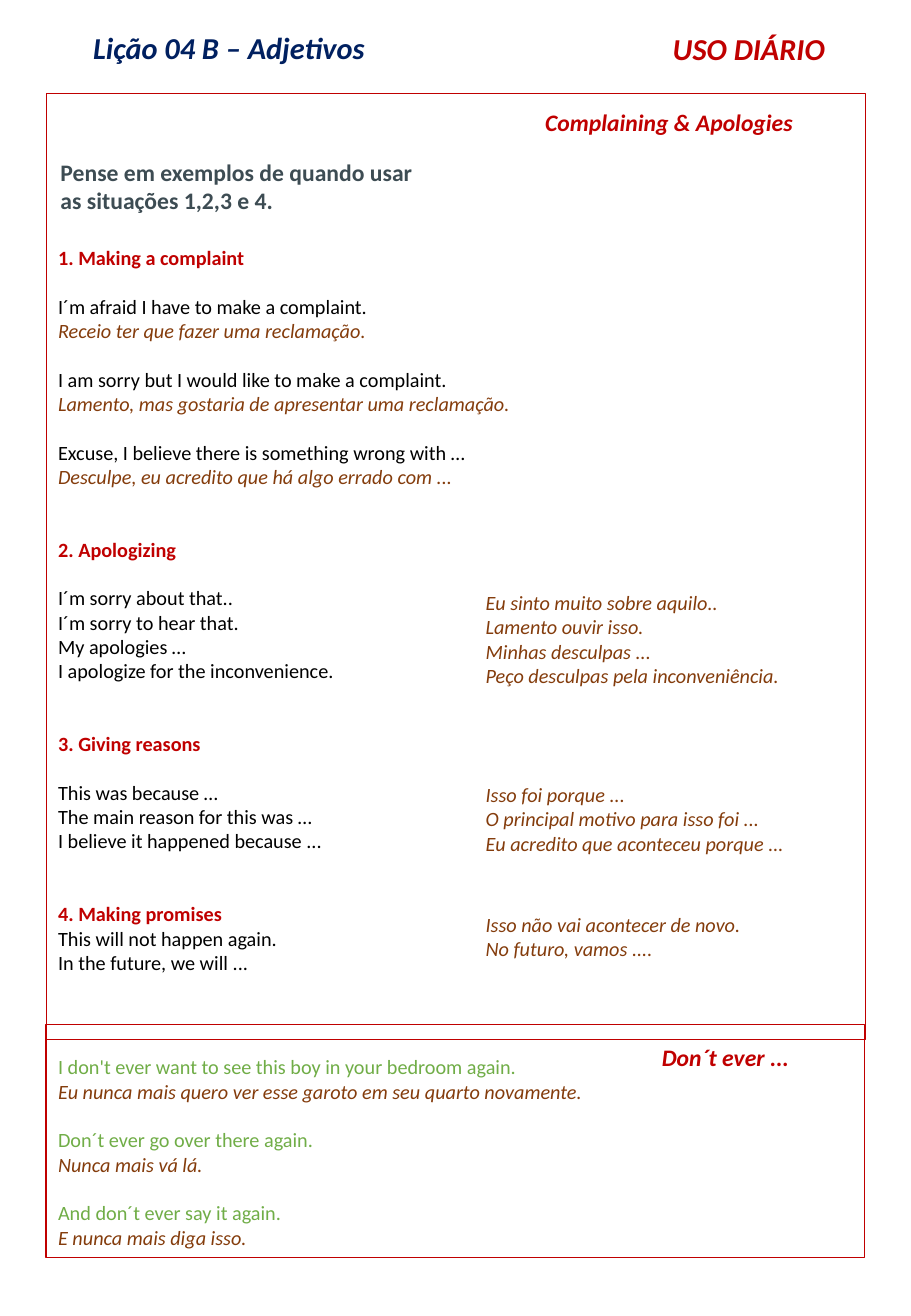
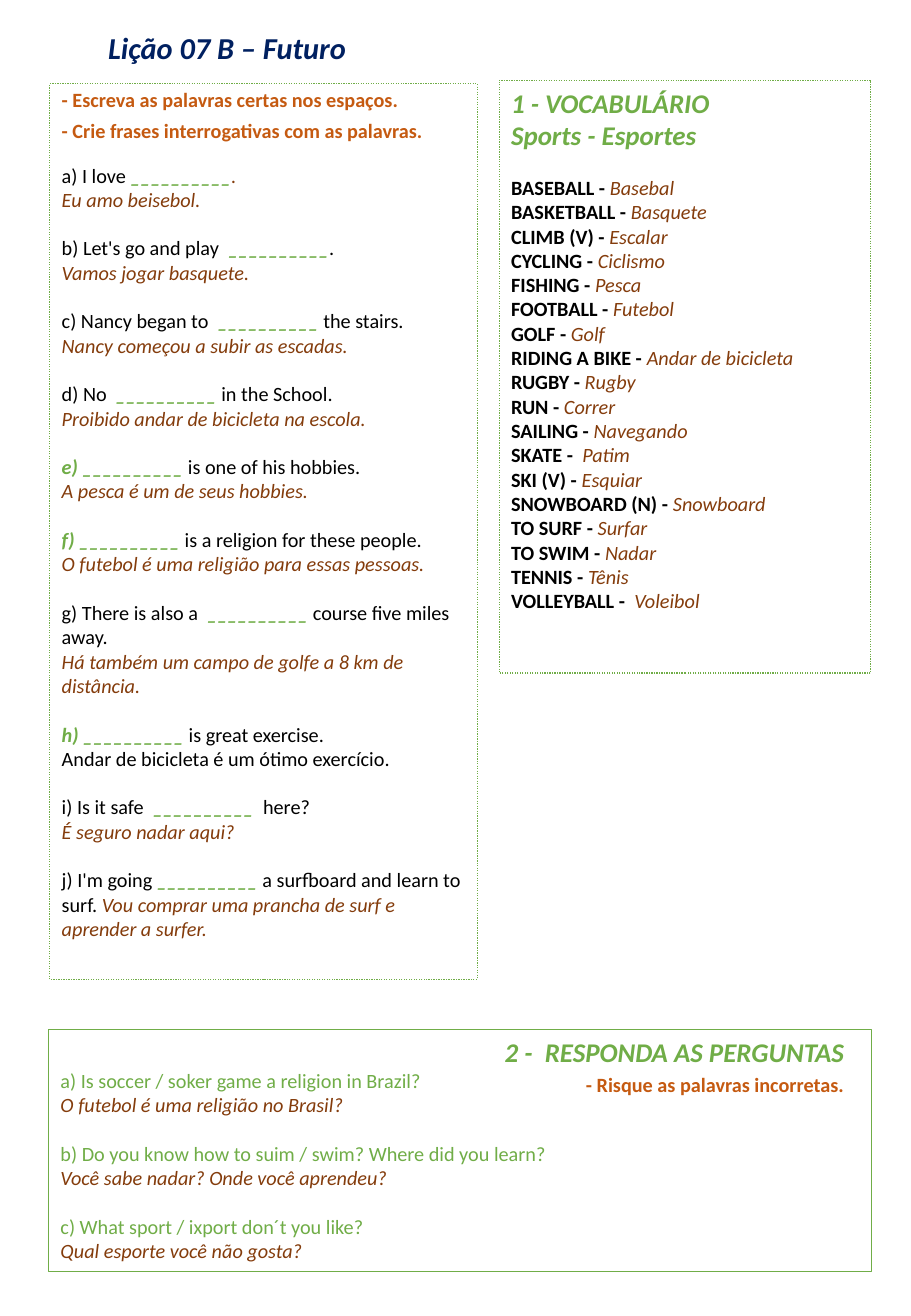
from dataclasses import dataclass

from pptx import Presentation
from pptx.dml.color import RGBColor
from pptx.enum.dml import MSO_LINE
from pptx.enum.shapes import MSO_SHAPE
from pptx.enum.text import MSO_ANCHOR, MSO_AUTO_SIZE, PP_ALIGN
from pptx.util import Inches, Pt

FONT = "Calibri"
NAVY, RED, BROWN, GREEN = "002060", "C00000", "843C0C", "70AD47"
BLACK, SLATE, ORANGE = "000000", "3D4C53", "C55A11"
LINE_PT = 14.4
LINE_IN = 0.2
INSET = 0.05


@dataclass
class Style:
    """Look of a piece of text."""
    color: str
    size: int = 12
    bold: bool = False
    italic: bool = False


TITLE = Style(NAVY, 18, True, True)
TAG = Style(RED, 18, True, True)
TOPIC = Style(RED, 14, True, True)
PROMPT = Style(SLATE, 14, True)
HEAD = Style(RED, bold=True)
EN = Style(BLACK)
PT = Style(BROWN, italic=True)
EXAMPLE = Style(GREEN)
GAP = Style(GREEN, bold=True, italic=True)
WORD = Style(BLACK, bold=True)
TASK = Style(ORANGE, bold=True)
SECTION = Style(GREEN, 16, True, True)

BLANK = "__________"

COMPLAINTS = [
    (0, "1. Making a complaint", HEAD),
    (1, "I´m afraid I have to make a complaint.", EN),
    (0, "Receio ter que fazer uma reclamação.", PT),
    (1, "I am sorry but I would like to make a complaint.", EN),
    (0, "Lamento, mas gostaria de apresentar uma reclamação.", PT),
    (1, "Excuse, I believe there is something wrong with …", EN),
    (0, "Desculpe, eu acredito que há algo errado com ...", PT),
    (2, "2. Apologizing", HEAD),
    (1, "I´m sorry about that..", EN),
    (0, "I´m sorry to hear that.", EN),
    (0, "My apologies …", EN),
    (0, "I apologize for the inconvenience.", EN),
    (2, "3. Giving reasons", HEAD),
    (1, "This was because …", EN),
    (0, "The main reason for this was …", EN),
    (0, "I believe it happened because ...", EN),
    (2, "4. Making promises", HEAD),
    (0, "This will not happen again.", EN),
    (0, "In the future, we will ...", EN),
]

TRANSLATIONS = [
    (4.04, ["Eu sinto muito sobre aquilo..", "Lamento ouvir isso.",
            "Minhas desculpas ...", "Peço desculpas pela inconveniência."]),
    (5.62, ["Isso foi porque ...", "O principal motivo para isso foi ...",
            "Eu acredito que aconteceu porque ..."]),
    (6.69, ["Isso não vai acontecer de novo.", "No futuro, vamos ...."]),
]

DONT_EVER = [
    ("I don't ever want to see this boy in your bedroom again.",
     "Eu nunca mais quero ver esse garoto em seu quarto novamente."),
    ("Don´t ever go over there again.", "Nunca mais vá lá."),
    ("And don´t ever say it again.", "E nunca mais diga isso."),
]

EXERCISES = [
    [[("a) I love ", EN), (BLANK, GAP), (".", PT)],
     [("Eu amo beisebol.", PT)]],
    [[("b) Let's go and play  ", EN), (BLANK, GAP), (".", EN)],
     [("Vamos jogar basquete.", PT)]],
    [[("c) Nancy began to  ", EN), (BLANK + " ", GAP), ("the stairs.", EN)],
     [("Nancy começou a subir as escadas.", PT)]],
    [[("d) No  ", EN), (BLANK, GAP), (" in the School.", EN)],
     [("Proibido andar de bicicleta na escola.", PT)]],
    [[("e) " + BLANK, GAP), (" is one of his hobbies.", EN)],
     [("A pesca é um de seus hobbies.", PT)]],
    [[("f) " + BLANK, GAP), (" is a religion for these people.", EN)],
     [("O futebol é uma religião para essas pessoas.", PT)]],
    [[("g) There is also a  ", EN), (BLANK, GAP),
      (" course five miles away.", EN)],
     [("Há também um campo de golfe a 8 km de distância.", PT)]],
    [[("h) " + BLANK, GAP), (" is great exercise.", EN)],
     [("Andar de bicicleta é um ótimo exercício.", EN)]],
    [[("i) Is it safe ", EN), (f" {BLANK} ", GAP), (" here?", EN)],
     [("É seguro nadar aqui?", PT)]],
    [[("j) I'm going ", EN), (BLANK + " ", GAP),
      ("a surfboard and learn to surf. ", EN),
      ("Vou comprar uma prancha de surf e aprender a surfer.", PT)]],
]

VOCABULARY = [
    ("BASEBALL - ", "Basebal"), ("BASKETBALL - ", "Basquete"),
    ("CLIMB (V) - ", "Escalar"), ("CYCLING - ", "Ciclismo"),
    ("FISHING - ", "Pesca"), ("FOOTBALL - ", "Futebol"),
    ("GOLF - ", "Golf"), ("RIDING A BIKE - ", "Andar de bicicleta"),
    ("RUGBY - ", "Rugby"), ("RUN - ", "Correr"),
    ("SAILING - ", "Navegando"), ("SKATE -  ", "Patim"),
    ("SKI (V) - ", "Esquiar"), ("SNOWBOARD (N) - ", "Snowboard"),
    ("TO SURF - ", "Surfar"), ("TO SWIM - ", "Nadar"),
    ("TENNIS - ", "Tênis"), ("VOLLEYBALL -  ", "Voleibol"),
]

QUESTIONS = [
    ("a) Is soccer / soker game a religion in Brazil?",
     "O futebol é uma religião no Brasil?"),
    ("b) Do you know how to suim / swim? Where did you learn?",
     "Você sabe nadar? Onde você aprendeu?"),
    ("c) What sport / ixport don´t you like?",
     "Qual esporte você não gosta?"),
]


def rgb(value):
    """Turn a hex string into a colour."""
    return RGBColor.from_string(value)


def set_font(font, style):
    """Apply a style to a font."""
    font.name = FONT
    font.size = Pt(style.size)
    font.bold = style.bold
    font.italic = style.italic
    font.color.rgb = rgb(style.color)


def write(tf, paragraphs, align=PP_ALIGN.LEFT):
    """Fill a frame with (blank lines before, runs) paragraphs."""
    tf.word_wrap = True
    tf.vertical_anchor = MSO_ANCHOR.TOP
    for i, (before, runs) in enumerate(paragraphs):
        p = tf.add_paragraph() if i else tf.paragraphs[0]
        p.alignment = align
        if before:
            p.space_before = Pt(round(before * LINE_PT, 2))
        if len(runs) == 1:
            set_font(p.font, runs[0][1])
        for text, style in runs:
            r = p.add_run()
            r.text = text
            if len(runs) > 1:
                set_font(r.font, style)


def lines(texts, style, gap=0):
    """Give every text its own paragraph in one style."""
    return [(gap if i else 0, [(text, style)]) for i, text in enumerate(texts)]


def stack(groups):
    """Set groups of paragraphs one blank line apart."""
    return [(1 if i and not j else 0, runs)
            for i, group in enumerate(groups) for j, runs in enumerate(group)]


def bilingual(pairs):
    """Pair each green English sentence with its translation."""
    return stack([[(en, EXAMPLE)], [(pt, PT)]] for en, pt in pairs)


def add_text(s, box, paragraphs, align=PP_ALIGN.LEFT):
    """Place a text box."""
    sp = s.shapes.add_textbox(*map(Inches, box))
    write(sp.text_frame, paragraphs, align)


def add_frame(s, box, paragraphs, color, weight, lead=0.0, dotted=False):
    """Draw an outlined panel whose text starts below a lead."""
    sp = s.shapes.add_shape(MSO_SHAPE.RECTANGLE, *map(Inches, box))
    sp.shadow.inherit = False
    sp.fill.background()
    sp.line.color.rgb = rgb(color)
    sp.line.width = Pt(weight)
    if dotted:
        sp.line.dash_style = MSO_LINE.ROUND_DOT
    sp.text_frame.margin_top = Inches(INSET + lead)
    write(sp.text_frame, paragraphs)


def add_lesson(prs, title, left, width):
    """Add a title-only slide and format its title."""
    s = prs.slides.add_slide(prs.slide_layouts[5])
    sp = s.shapes.title
    sp.left, sp.top, sp.width, sp.height = map(Inches, (left, 0.17, width, 0.41))
    tf = sp.text_frame
    write(tf, [(0, [(title, TITLE)])], PP_ALIGN.CENTER)
    tf.word_wrap = False
    tf.auto_size = MSO_AUTO_SIZE.NONE
    tf.paragraphs[0].line_spacing = 1.07
    return s


def complaint_panel(s, box):
    """Phrases for complaining, with translations at the right."""
    x, y, w, h = box
    add_frame(s, box, [(n, [(text, style)]) for n, text, style in COMPLAINTS],
              RED, 0.25, lead=6 * LINE_IN)
    add_text(s, (x + 4.01, y + 0.07, 2.73, 0.34),
             lines(["Complaining & Apologies"], TOPIC))
    add_text(s, (x + 0.02, y + 0.48, 4, 0.57),
             lines(["Pense em exemplos de quando usar",
                    "as situações 1,2,3 e 4."], PROMPT))
    for offset, texts in TRANSLATIONS:
        add_text(s, (x + 3.52, y + offset, 3.2, 0.1 + LINE_IN * len(texts)),
                 lines(texts, PT))


def dont_ever_panel(s, box):
    """Examples with their topic in the upper right corner."""
    x, y, w, h = box
    add_frame(s, box, bilingual(DONT_EVER), RED, 0.75, lead=LINE_IN)
    add_text(s, (x + 4.97, y + 0.1, 1.77, 0.34),
             lines(["Don´t ever ..."], TOPIC))


def exercise_panel(s, box):
    """Fill-in sentences under their instructions."""
    x, y, w, h = box
    add_frame(s, box, stack(EXERCISES), GREEN, 0.75, lead=3 * LINE_IN,
              dotted=True)
    add_text(s, (x, y - 0.02, 3.75, 0.55),
             lines(["- Escreva as palavras certas nos espaços.",
                    "- Crie frases interrogativas com as palavras."],
                   TASK, gap=0.25))


def vocabulary_panel(s, box):
    """Word list with translations."""
    heads = lines(["1 - VOCABULÁRIO", "Sports - Esportes"], SECTION)
    words = [(0 if i else 1, [(en, WORD), (pt, PT)])
             for i, (en, pt) in enumerate(VOCABULARY)]
    add_frame(s, box, heads + words, GREEN, 0.75, dotted=True)


def question_panel(s, box):
    """Questions with a right-aligned heading and task."""
    x, y, w, h = box
    add_frame(s, box, bilingual(QUESTIONS), GREEN, 0.25, lead=0.27)
    add_text(s, (x + w - 3.62, y, 3.5, 0.6),
             [(0, [("2 -  RESPONDA AS PERGUNTAS", SECTION)]),
              (0.2, [("- Risque as palavras incorretas.", TASK)])],
             PP_ALIGN.RIGHT)


def main():
    """Build both lessons."""
    prs = Presentation()
    prs.slide_width, prs.slide_height = Inches(7.5), Inches(10.83)

    s = add_lesson(prs, "Lição 04 B – Adjetivos", 0.65, 2.47)
    add_text(s, (5.44, 0.2, 1.8, 0.4), lines(["USO DIÁRIO"], TAG))
    complaint_panel(s, (0.38, 0.77, 6.74, 7.78))
    dont_ever_panel(s, (0.38, 8.43, 6.74, 1.92))

    s = add_lesson(prs, "Lição 07 B – Futuro", 0.78, 2.18)
    exercise_panel(s, (0.41, 0.69, 3.52, 7.37))
    vocabulary_panel(s, (4.11, 0.66, 3.06, 4.88))
    question_panel(s, (0.4, 8.47, 6.77, 1.99))

    prs.save("out.pptx")


if __name__ == "__main__":
    main()
